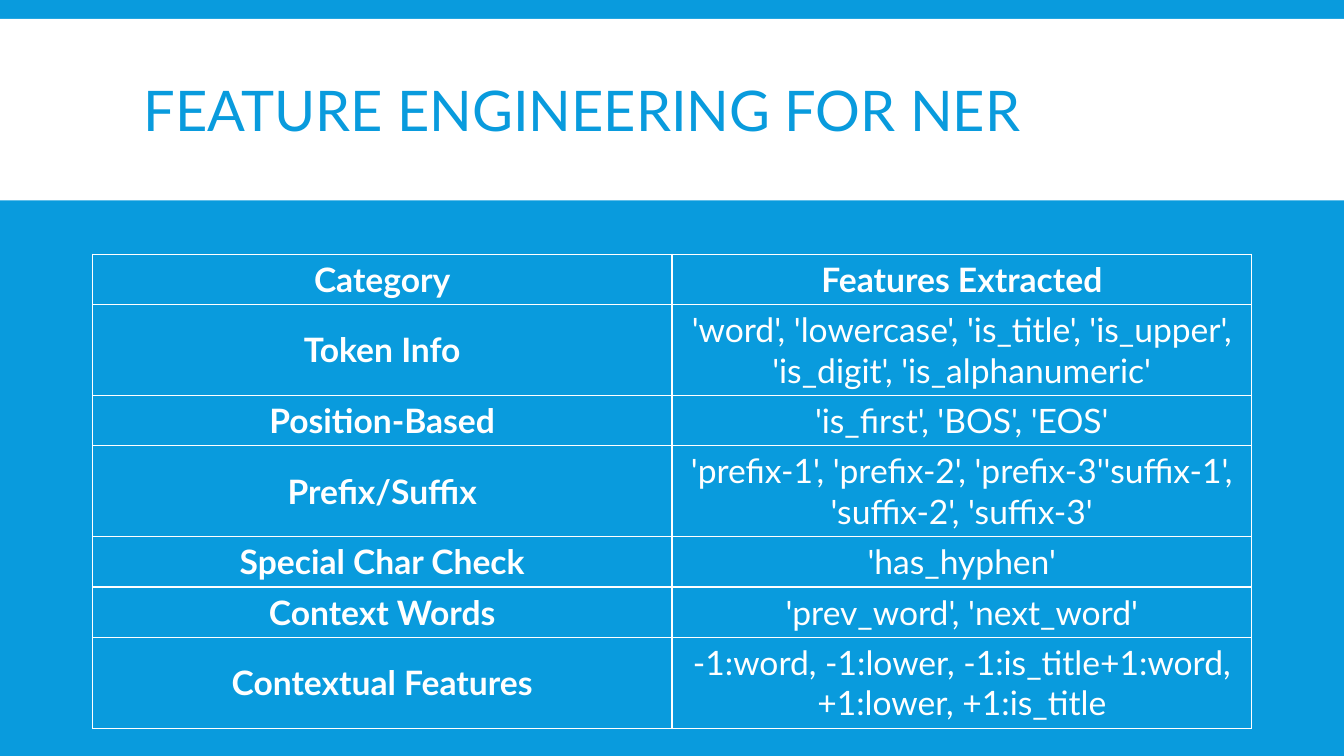
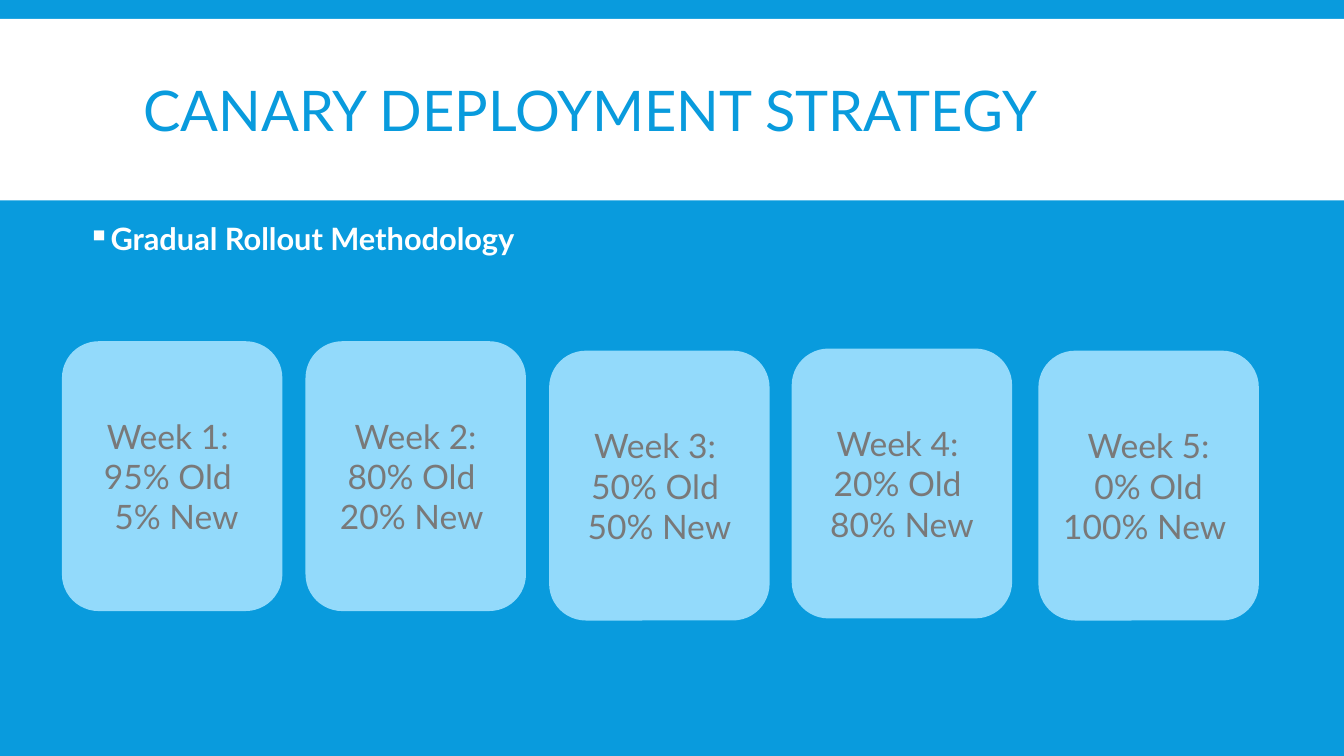
from dataclasses import dataclass

from lxml import etree
from pptx import Presentation
from pptx.dml.color import RGBColor
from pptx.enum.shapes import MSO_SHAPE
from pptx.enum.text import MSO_ANCHOR, PP_ALIGN
from pptx.oxml import parse_xml
from pptx.oxml.ns import nsdecls, qn
from pptx.util import Pt

PX = 9525  # EMU per px, 96 px to the inch
RECT, ROUND_RECT = MSO_SHAPE.RECTANGLE, MSO_SHAPE.ROUNDED_RECTANGLE
LEFT, CENTER = PP_ALIGN.LEFT, PP_ALIGN.CENTER
MIDDLE = MSO_ANCHOR.MIDDLE


@dataclass(frozen=True)
class Theme:
    font: str = "Lato"
    blue: str = "099BDD"
    white: str = "FFFFFF"
    card: str = "93DAFB"
    gray: str = "797979"
    title: int = 40
    body: int = 24
    lead: int = 22


T = Theme()


def add_run(p, text, size, color, bold=False):
    r = p.add_run()
    r.text = text
    r.font.name = T.font
    r.font.size = Pt(size)
    r.font.bold = bold
    r.font.color.rgb = RGBColor.from_string(color)


def add_titled_slide(title):
    """Add a slide with the white title band behind its title."""
    slide = prs.slides.add_slide(prs.slide_layouts.get_by_name("Title Only"))
    band = slide.shapes.add_shape(RECT, 0, 18 * PX, prs.slide_width, 173 * PX)
    band.shadow.inherit = False
    band.fill.solid()
    band.fill.fore_color.rgb = RGBColor.from_string(T.white)
    band.line.fill.background()

    sp = slide.shapes.title
    band._element.addnext(sp._element)
    sp.left, sp.top, sp.width, sp.height = 127 * PX, 30 * PX, 1027 * PX, 158 * PX
    tf = sp.text_frame
    tf.vertical_anchor = MIDDLE
    p = tf.paragraphs[0]
    p.alignment = LEFT
    p.line_spacing = 0.85
    add_run(p, title, T.title, T.blue)
    return slide


prs = Presentation()
prs.slide_width, prs.slide_height = 1280 * PX, 720 * PX
background = prs.slide_master.background.fill
background.solid()
background.fore_color.rgb = RGBColor.from_string(T.blue)

# Feature table
slide = add_titled_slide("FEATURE ENGINEERING FOR NER")
ONE_LINE, TWO_LINES = 48, 86
rows = [
    (ONE_LINE, "Category", "Features Extracted"),
    (TWO_LINES, "Token Info",
     "'word', 'lowercase', 'is_title', 'is_upper', 'is_digit', 'is_alphanumeric'"),
    (ONE_LINE, "Position-Based", "'is_first', 'BOS', 'EOS'"),
    (TWO_LINES, "Prefix/Suffix",
     "'prefix-1', 'prefix-2', 'prefix-3''suffix-1', 'suffix-2', 'suffix-3'"),
    (ONE_LINE, "Special Char Check", "'has_hyphen'"),
    (ONE_LINE, "Context Words", "'prev_word', 'next_word'"),
    (TWO_LINES, "Contextual Features",
     "-1:word, -1:lower, -1:is_title+1:word, +1:lower, +1:is_title"),
]
table_height = sum(row[0] for row in rows)
table = slide.shapes.add_table(
    len(rows), 2, 88 * PX, 242 * PX, 1104 * PX, table_height * PX).table
table.first_row = table.horz_banding = False
for i, (height, *texts) in enumerate(rows):
    table.rows[i].height = height * PX
    for j, text in enumerate(texts):
        cell = table.cell(i, j)
        cell.vertical_anchor = MIDDLE
        tcPr = cell._tc.get_or_add_tcPr()
        for side in ("lnL", "lnR", "lnT", "lnB"):
            tcPr.append(parse_xml(
                f'<a:{side} {nsdecls("a")} w="12700"><a:solidFill>'
                f'<a:srgbClr val="{T.white}"/></a:solidFill></a:{side}>'))
        cell.fill.background()
        p = cell.text_frame.paragraphs[0]
        p.alignment = CENTER
        add_run(p, text, T.body, T.white, bold=i == 0 or j == 0)

# Rollout weeks
slide = add_titled_slide("CANARY DEPLOYMENT STRATEGY")
lead = slide.shapes.add_textbox(74 * PX, 209 * PX, 1027 * PX, 57 * PX)
tf = lead.text_frame
tf.word_wrap = True
p = tf.paragraphs[0]
p.line_spacing = 0.9
pPr = p._p.get_or_add_pPr()
pPr.set("marL", str(19 * PX))
pPr.set("indent", str(-19 * PX))
bullet_color = etree.SubElement(pPr, qn("a:buClr"))
etree.SubElement(bullet_color, qn("a:srgbClr"), val=T.white)
etree.SubElement(pPr, qn("a:buChar"), char="▪")
add_run(p, "Gradual Rollout Methodology", T.lead, T.white, bold=True)

weeks = [
    (59, 325, ("Week 1: ", "95% Old ", " 5% New")),
    (291, 325, ("Week 2:", "80% Old ", "20% New ")),
    (523, 334, ("Week 3: ", "50% Old ", "50% New")),
    (754, 332, ("Week 4: ", "20% Old ", "80% New")),
    (989, 334, ("Week 5:", " 0% Old ", "100% New ")),
]
for left, top, lines in weeks:
    card = slide.shapes.add_shape(
        ROUND_RECT, left * PX, top * PX, 210 * PX, 257 * PX)
    card.shadow.inherit = False
    card.fill.solid()
    card.fill.fore_color.rgb = RGBColor.from_string(T.card)
    card.line.fill.background()
    tf = card.text_frame
    tf.word_wrap = True
    tf.vertical_anchor = MIDDLE
    for i, line in enumerate(lines):
        p = tf.add_paragraph() if i else tf.paragraphs[0]
        p.alignment = CENTER
        add_run(p, line, T.body, T.gray)

prs.save("out.pptx")
